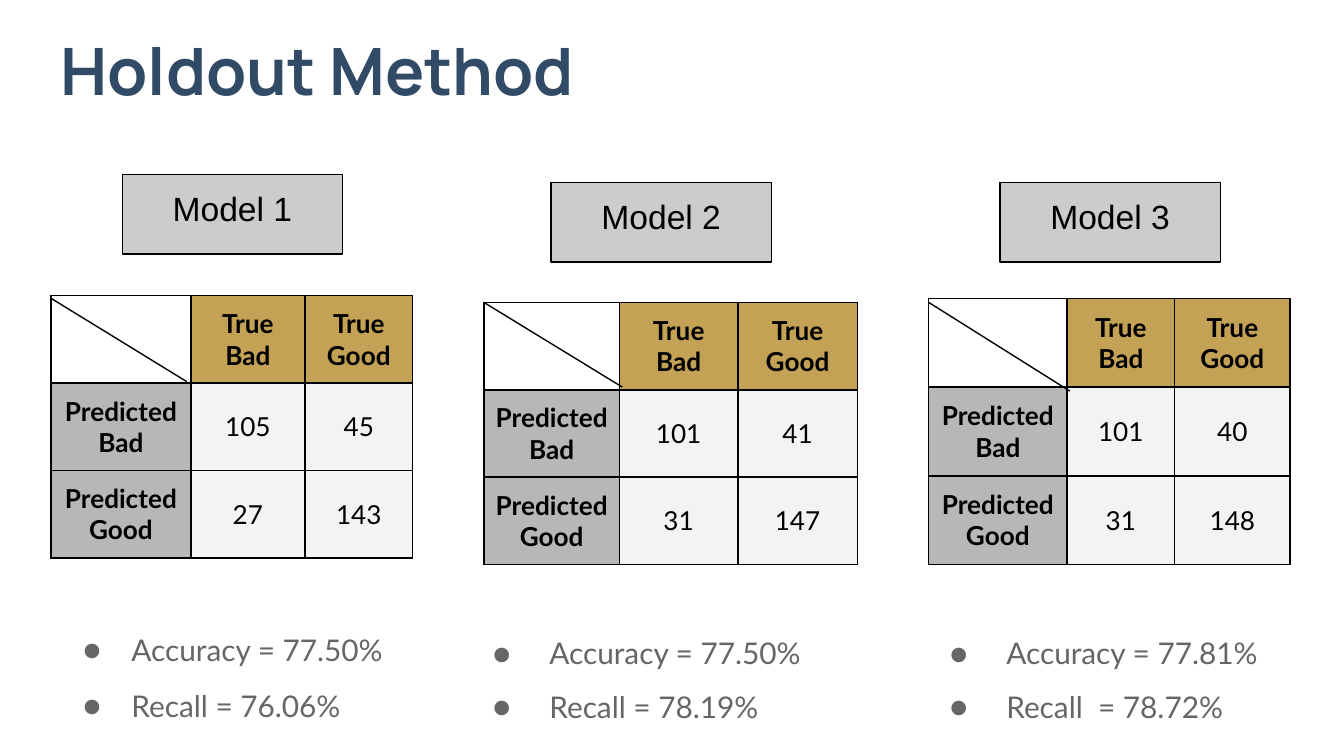
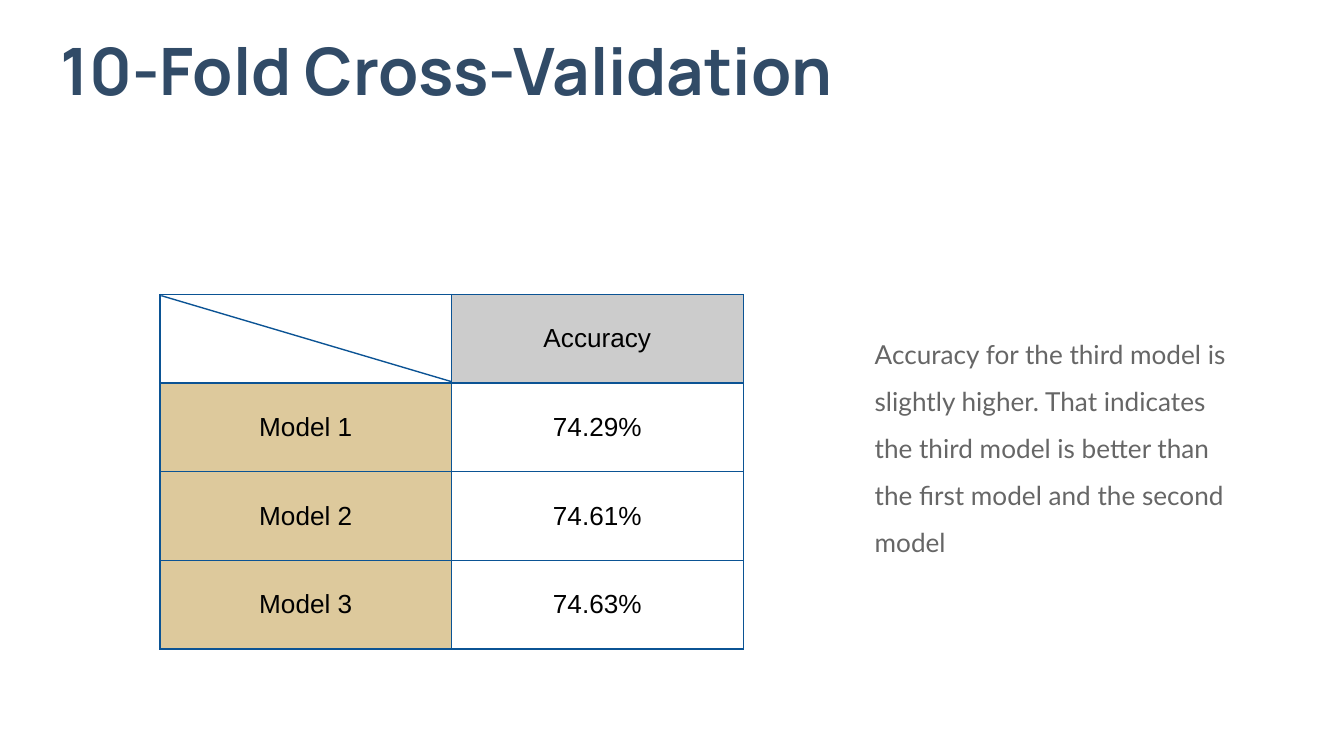
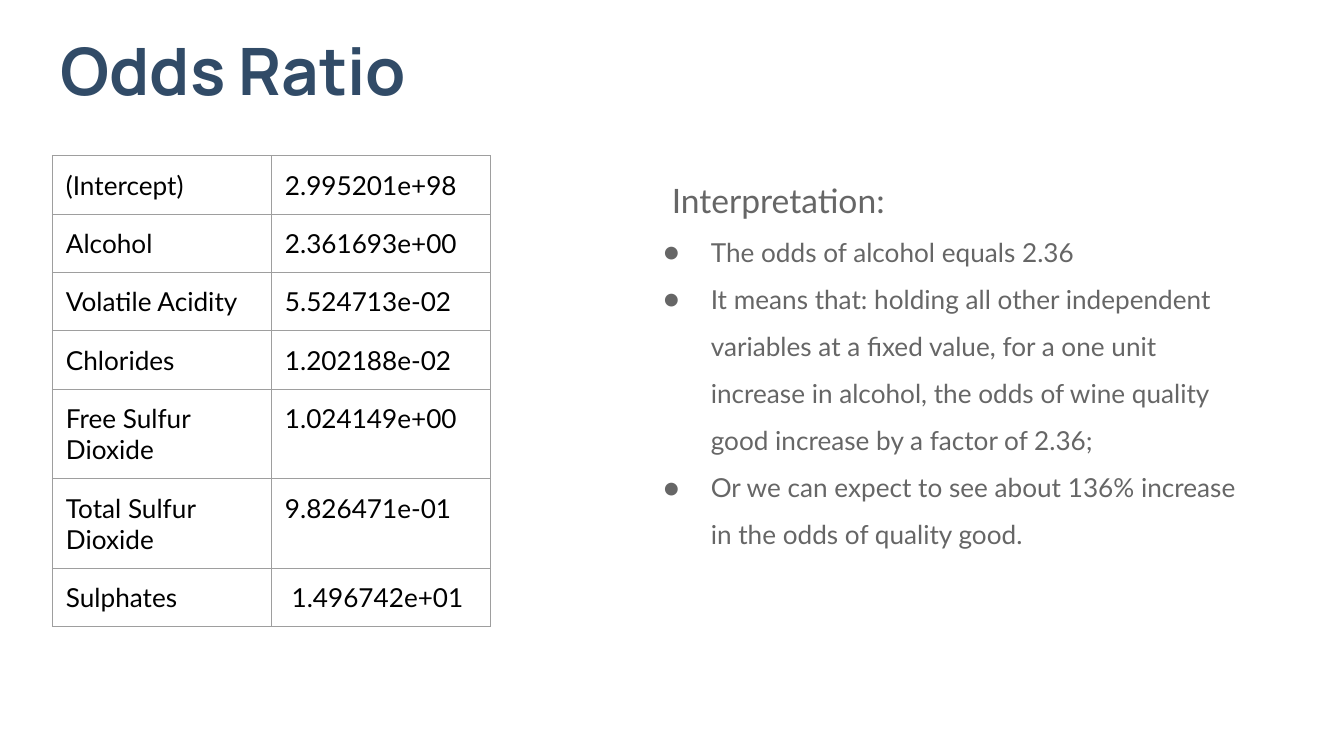
"""Build three slides on model validation and odds ratios."""
import lxml.etree
import pptx
import pptx.dml.color
import pptx.enum.shapes
import pptx.enum.text
import pptx.oxml.ns
import pptx.util

Inches = pptx.util.Inches
Pt = pptx.util.Pt
RGBColor = pptx.dml.color.RGBColor
CENTER = pptx.enum.text.PP_ALIGN.CENTER
TOP = pptx.enum.text.MSO_ANCHOR.TOP
MIDDLE = pptx.enum.text.MSO_ANCHOR.MIDDLE

NAVY = RGBColor(0x31, 0x4B, 0x67)
BLACK = RGBColor(0, 0, 0)
BODY_GRAY = RGBColor(0x66, 0x66, 0x66)
LABEL_GRAY = RGBColor(0xCC, 0xCC, 0xCC)
ROW_GRAY = RGBColor(0xB7, 0xB7, 0xB7)
PALE_GRAY = RGBColor(0xF3, 0xF3, 0xF3)
BORDER_GRAY = RGBColor(0x9E, 0x9E, 0x9E)
GOLD = RGBColor(0xC4, 0xA2, 0x55)
SAND = RGBColor(0xDD, 0xC9, 0x9C)
BLUE = RGBColor(0x0B, 0x53, 0x94)

MODELS = [
    {
        "name": "Model 1", "label": (0.91, 1.3),
        "table": (0.38, 2.2), "columns": (1.04, 0.85, 0.8), "row": 0.65,
        "counts": [("105", "45"), ("27", "143")],
        "diagonal": (0.38, 2.22, 1.39, 2.84),
        "scores": ("Accuracy = 77.50%", "Recall = 76.06%"),
        "scores_box": (0.38, 4.45, 3.17, 1.03), "indent": 0.5, "spacing": 1.56,
    },
    {
        "name": "Model 2", "label": (4.1, 1.36),
        "table": (3.6, 2.25), "columns": (1.01, 0.88, 0.89), "row": 0.65,
        "counts": [("101", "41"), ("31", "147")],
        "diagonal": (3.6, 2.25, 4.63, 2.88),
        "scores": ("Accuracy = 77.50%", "Recall = 78.19%"),
        "scores_box": (3.43, 4.49, 3.33, 0.93), "indent": 0.56, "spacing": 1.5,
    },
    {
        "name": "Model 3", "label": (7.44, 1.36),
        "table": (6.91, 2.22), "columns": (1.03, 0.8, 0.86), "row": 0.66,
        "counts": [("101", "40"), ("31", "148")],
        "diagonal": (6.91, 2.25, 7.96, 2.91),
        "scores": ("Accuracy = 77.81%", "Recall  = 78.72%"),
        "scores_box": (6.83, 4.49, 2.7, 0.81), "indent": 0.56, "spacing": 1.5,
    },
]
FOLD_ROWS = [
    ("", "Accuracy"),
    ("Model 1", "74.29%"),
    ("Model 2", "74.61%"),
    ("Model 3", "74.63%"),
]
FOLD_COMMENT = (
    "Accuracy for the third model is slightly higher. That indicates the third "
    "model is better than the first model and the second model"
)
ODDS_ROWS = [
    ("(Intercept)", "2.995201e+98"),
    ("Alcohol", "2.361693e+00"),
    ("Volatile Acidity", "5.524713e-02"),
    ("Chlorides", "1.202188e-02"),
    ("Free Sulfur Dioxide", "1.024149e+00"),
    ("Total Sulfur Dioxide", "9.826471e-01"),
    ("Sulphates", "1.496742e+01"),
]
ODDS_HEIGHTS = [0.42] * 4 + [0.66] * 2 + [0.42]
INTERPRETATION = [
    "The odds of alcohol equals 2.36",
    "It means that: holding all other independent variables at a fixed value, for a "
    "one unit increase in alcohol, the odds of wine quality good increase by a "
    "factor of 2.36;",
    "Or we can expect to see about 136% increase in the odds of quality good.",
]


def add_element(parent, tag, **attributes):
    element = lxml.etree.SubElement(parent, pptx.oxml.ns.qn(tag))
    for name, value in attributes.items():
        element.set(name, str(value))
    return element


def write_text(frame, text, size=14, font="Lato", color=BLACK, bold=False, align=None,
               spacing=None, before=None, indent=0, hanging=0, bullet=False):
    paragraph = frame.paragraphs[0]
    if paragraph.runs:
        paragraph = frame.add_paragraph()
    run = paragraph.add_run()
    run.text = text
    run.font.size = Pt(size)
    run.font.name = font
    run.font.bold = bold
    run.font.color.rgb = color
    paragraph.alignment = align
    paragraph.line_spacing = spacing
    if before is not None:
        paragraph.space_before = Pt(before)
    properties = paragraph._p.get_or_add_pPr()
    properties.set("marL", str(Inches(indent)))
    properties.set("indent", str(-Inches(hanging)))
    if bullet:
        bullet_color = add_element(properties, "a:buClr")
        add_element(bullet_color, "a:srgbClr", val=color)
        add_element(properties, "a:buFont", typeface=font)
        add_element(properties, "a:buChar", char="●")


def set_margins(frame, left, top, right, bottom):
    frame.margin_left, frame.margin_top = Inches(left), Inches(top)
    frame.margin_right, frame.margin_bottom = Inches(right), Inches(bottom)


def add_text_box(slide, box, margins=(0.1, 0.1, 0.1, 0.1)):
    frame = slide.shapes.add_textbox(*map(Inches, box)).text_frame
    frame.word_wrap = True
    set_margins(frame, *margins)
    return frame


def add_titled_slide(presentation, title):
    slide = presentation.slides.add_slide(presentation.slide_layouts[6])
    frame = add_text_box(slide, (0.45, 0.21, 8.18, 0.67), (0, 0.08, 0, 0))
    write_text(frame, title, size=35, font="Manrope", color=NAVY, bold=True,
               spacing=0.9, before=7.5)
    return slide


def add_grid(slide, position, columns, heights, rows, style, border, border_width,
             margin=0.1, anchor=MIDDLE):
    """Add a table; style(row, column) gives the fill and the text format."""
    size = (sum(columns), sum(heights))
    table = slide.shapes.add_table(
        len(rows), len(columns), *map(Inches, position + size)).table
    table.first_row = table.horz_banding = False
    for column, width in zip(table.columns, columns):
        column.width = Inches(width)
    for row, height in zip(table.rows, heights):
        row.height = Inches(height)
    for row_index, row in enumerate(rows):
        for column_index, text in enumerate(row):
            cell = table.cell(row_index, column_index)
            fill, text_format = style(row_index, column_index)
            set_margins(cell, margin, margin, margin, margin)
            cell.vertical_anchor = anchor
            for side in ("a:lnL", "a:lnR", "a:lnT", "a:lnB"):
                line = add_element(cell._tc.get_or_add_tcPr(), side, w=Pt(border_width))
                add_element(add_element(line, "a:solidFill"), "a:srgbClr", val=border)
            if fill is None:
                cell.fill.background()
            else:
                cell.fill.solid()
                cell.fill.fore_color.rgb = fill
            if text:
                write_text(cell.text_frame, text, **text_format)


def add_diagonal(slide, ends, color):
    connector = slide.shapes.add_connector(
        pptx.enum.shapes.MSO_CONNECTOR.STRAIGHT, *map(Inches, ends))
    connector.line.color.rgb = color
    connector.line.width = Pt(0.75)
    add_element(connector._element.spPr, "a:effectLst")


def add_model_label(slide, name, position):
    label = slide.shapes.add_shape(
        pptx.enum.shapes.MSO_SHAPE.RECTANGLE, *map(Inches, position + (1.64, 0.59)))
    label.shadow.inherit = False
    label.fill.solid()
    label.fill.fore_color.rgb = LABEL_GRAY
    label.line.color.rgb = BLACK
    label.line.width = Pt(0.75)
    frame = label.text_frame
    frame.word_wrap = True
    frame.vertical_anchor = TOP
    set_margins(frame, 0.1, 0.1, 0.1, 0.1)
    write_text(frame, name, size=18, font="Arial", align=CENTER)


def confusion_style(row, column):
    if row == 0:
        fill = GOLD if column else None
    else:
        fill = PALE_GRAY if column else ROW_GRAY
    return fill, {"bold": row == 0 or column == 0, "align": CENTER}


def fold_style(row, column):
    if row == 0:
        fill = LABEL_GRAY if column else None
    else:
        fill = None if column else SAND
    return fill, {"font": "Arial", "align": CENTER}


def odds_style(row, column):
    is_last_value = row == len(ODDS_ROWS) - 1 and column == 1
    return None, {"indent": 0.05 if is_last_value else 0}


def build_holdout(presentation):
    slide = add_titled_slide(presentation, "Holdout Method")
    for model in MODELS:
        rows = [("", "True Bad", "True Good")]
        for label, counts in zip(("Predicted Bad", "Predicted Good"), model["counts"]):
            rows.append((label,) + counts)
        add_model_label(slide, model["name"], model["label"])
        add_grid(slide, model["table"], model["columns"], [model["row"]] * 3, rows,
                 confusion_style, BLACK, 1, margin=0.07)
        add_diagonal(slide, model["diagonal"], BLACK)
        frame = add_text_box(slide, model["scores_box"])
        for score in model["scores"]:
            write_text(frame, score, size=16, color=BODY_GRAY, spacing=model["spacing"],
                       indent=model["indent"], hanging=model["indent"] - 0.14, bullet=True)


def build_cross_validation(presentation):
    slide = add_titled_slide(presentation, "10-Fold Cross-Validation")
    add_grid(slide, (1.19, 2.19), (2.17, 2.17), [0.66] * 4, FOLD_ROWS,
             fold_style, BLUE, 0.75)
    add_diagonal(slide, (1.2, 2.2, 3.36, 2.84), BLUE)
    frame = add_text_box(slide, (6.41, 2.3, 2.97, 1.61))
    write_text(frame, FOLD_COMMENT, color=BODY_GRAY, spacing=1.5)


def build_odds_ratio(presentation):
    slide = add_titled_slide(presentation, "Odds Ratio")
    frame = add_text_box(slide, (4.69, 1.09, 4.61, 3.92))
    write_text(frame, "Interpretation:", size=18, color=BODY_GRAY, spacing=1.5, indent=0.21)
    for point in INTERPRETATION:
        write_text(frame, point, color=BODY_GRAY, spacing=1.5,
                   indent=0.5, hanging=0.35, bullet=True)
    add_grid(slide, (0.39, 1.16), (1.63, 1.63), ODDS_HEIGHTS, ODDS_ROWS,
             odds_style, BORDER_GRAY, 0.75, anchor=TOP)


def main():
    presentation = pptx.Presentation()
    presentation.slide_width = Inches(10)
    presentation.slide_height = presentation.slide_width * 9 // 16
    build_holdout(presentation)
    build_cross_validation(presentation)
    build_odds_ratio(presentation)
    presentation.save("out.pptx")


if __name__ == "__main__":
    main()
